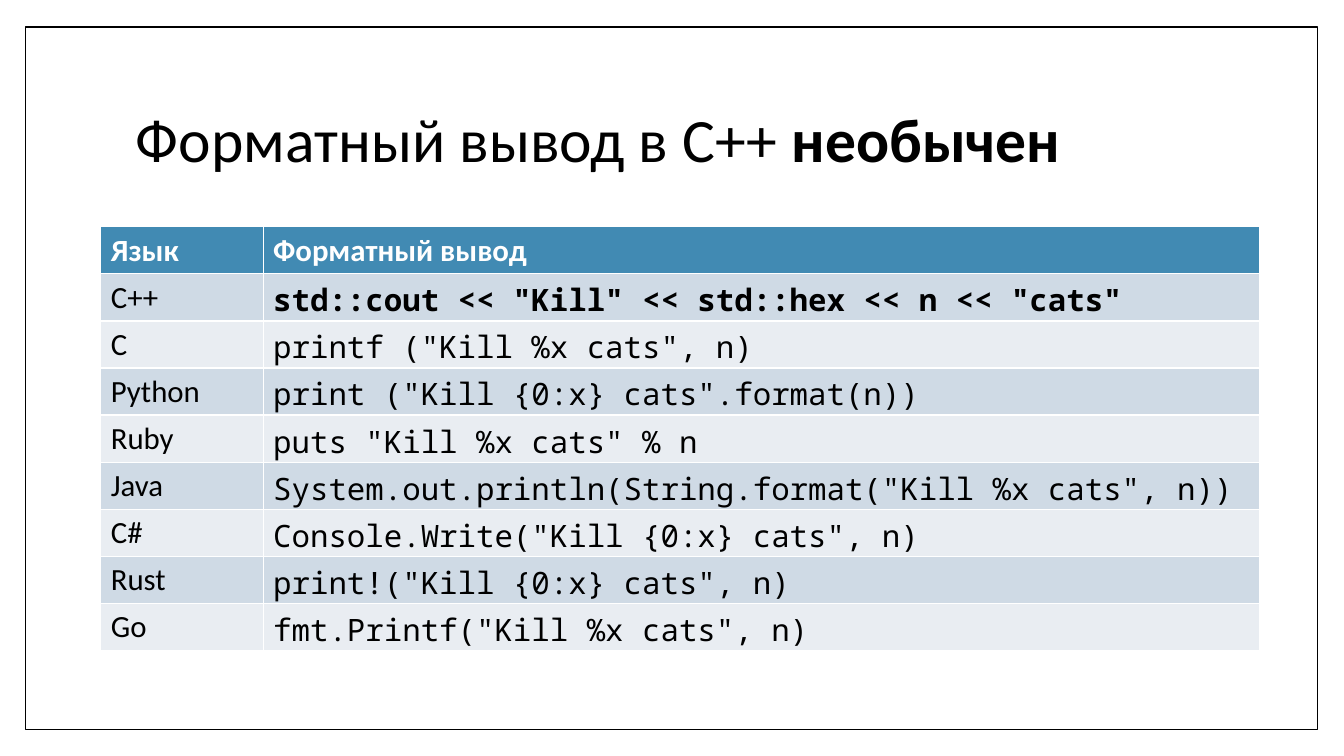
"""Build a slide comparing formatted output across programming languages."""
from pptx import Presentation
from pptx.dml.color import RGBColor
from pptx.enum.shapes import MSO_SHAPE
from pptx.enum.text import MSO_ANCHOR
from pptx.util import Inches, Pt

TITLE = [("Форматный вывод в C++ ", False), ("необычен", True)]
HEADER = ("Язык", "Форматный вывод")
EXAMPLES = [
    ("C++", 'std::cout << "Kill" << std::hex << n << "cats"'),
    ("C", 'printf ("Kill %x cats", n)'),
    ("Python", 'print ("Kill {0:x} cats".format(n))'),
    ("Ruby", 'puts "Kill %x cats" % n'),
    ("Java", 'System.out.println(String.format("Kill %x cats", n))'),
    ("C#", 'Console.Write("Kill {0:x} cats", n)'),
    ("Rust", 'print!("Kill {0:x} cats", n)'),
    ("Go", 'fmt.Printf("Kill %x cats", n)'),
]
EMPHASIZED = "C++"
COLUMN_WIDTHS = (1.61, 9.88)
ROW_HEIGHT = 0.41

TEXT_FONT = "Calibri"
CODE_FONT = "Noto Sans Mono"
BLACK = RGBColor(0x00, 0x00, 0x00)
WHITE = RGBColor(0xFF, 0xFF, 0xFF)
HEADER_BLUE = RGBColor(0x41, 0x8A, 0xB3)
BANDS = (RGBColor(0xCF, 0xDA, 0xE5), RGBColor(0xE9, 0xED, 0xF2))
RECTANGLE = MSO_SHAPE.RECTANGLE
MIDDLE = MSO_ANCHOR.MIDDLE


def set_font(font, name, size, color):
    font.name = name
    font.size = Pt(size)
    font.color.rgb = color


def add_frame(page):
    frame = page.shapes.add_shape(
        RECTANGLE, Inches(0.25), Inches(0.27), Inches(12.82), Inches(6.97))
    frame.shadow.inherit = False
    frame.fill.solid()
    frame.fill.fore_color.rgb = WHITE
    frame.line.color.rgb = BLACK
    frame.line.width = Pt(1)


def add_title(page):
    box = page.shapes.add_textbox(
        Inches(1.25), Inches(0.67), Inches(10.8), Inches(1.48))
    box.text_frame.word_wrap = True
    box.text_frame.vertical_anchor = MIDDLE
    para = box.text_frame.paragraphs[0]
    para.line_spacing = 0.9
    set_font(para.font, TEXT_FONT, 44, BLACK)
    for text, bold in TITLE:
        span = para.add_run()
        span.text = text
        span.font.bold = bold


def fill_cell(cell, text, fill, font_name, color, bold):
    cell.fill.solid()
    cell.fill.fore_color.rgb = fill
    para = cell.text_frame.paragraphs[0]
    para.text = text
    set_font(para.font, font_name, 22, color)
    para.font.bold = bold


def add_language_table(page):
    row_count = len(EXAMPLES) + 1
    table = page.shapes.add_table(
        row_count, len(COLUMN_WIDTHS), Inches(1), Inches(2.25),
        Inches(sum(COLUMN_WIDTHS)), Inches(ROW_HEIGHT * row_count)).table
    for column, width in zip(table.columns, COLUMN_WIDTHS):
        column.width = Inches(width)
    for index, heading in enumerate(HEADER):
        fill_cell(table.cell(0, index), heading, HEADER_BLUE, TEXT_FONT, WHITE, True)
    for row, (language, code) in enumerate(EXAMPLES, start=1):
        band = BANDS[(row - 1) % 2]
        fill_cell(table.cell(row, 0), language, band, TEXT_FONT, BLACK, False)
        fill_cell(table.cell(row, 1), code, band, CODE_FONT, BLACK,
                  language == EMPHASIZED)


def main():
    deck = Presentation()
    deck.slide_width = Inches(13.33)
    deck.slide_height = Inches(7.5)
    page = deck.slides.add_slide(deck.slide_layouts[6])
    add_frame(page)
    add_title(page)
    add_language_table(page)
    deck.save("out.pptx")


if __name__ == "__main__":
    main()
